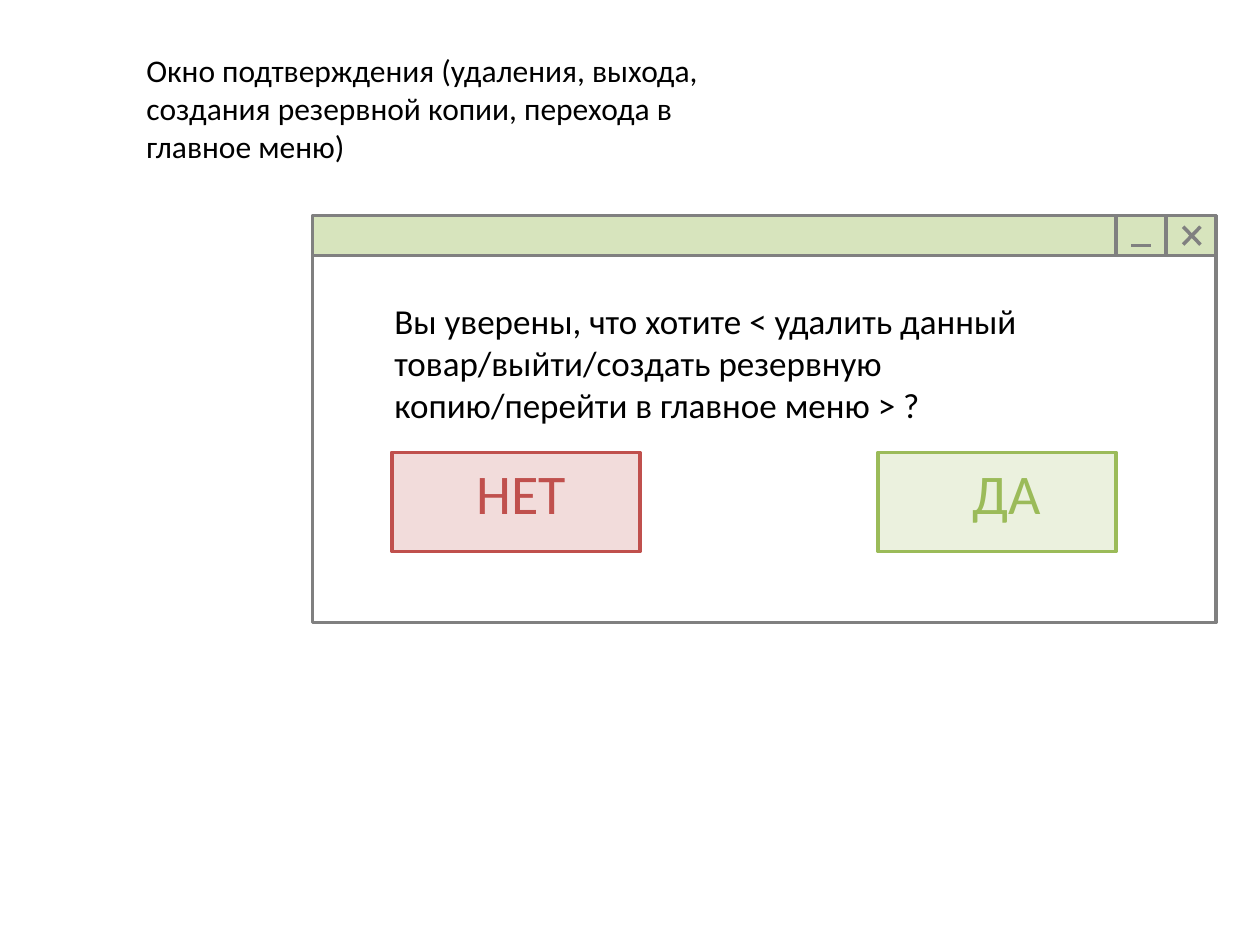
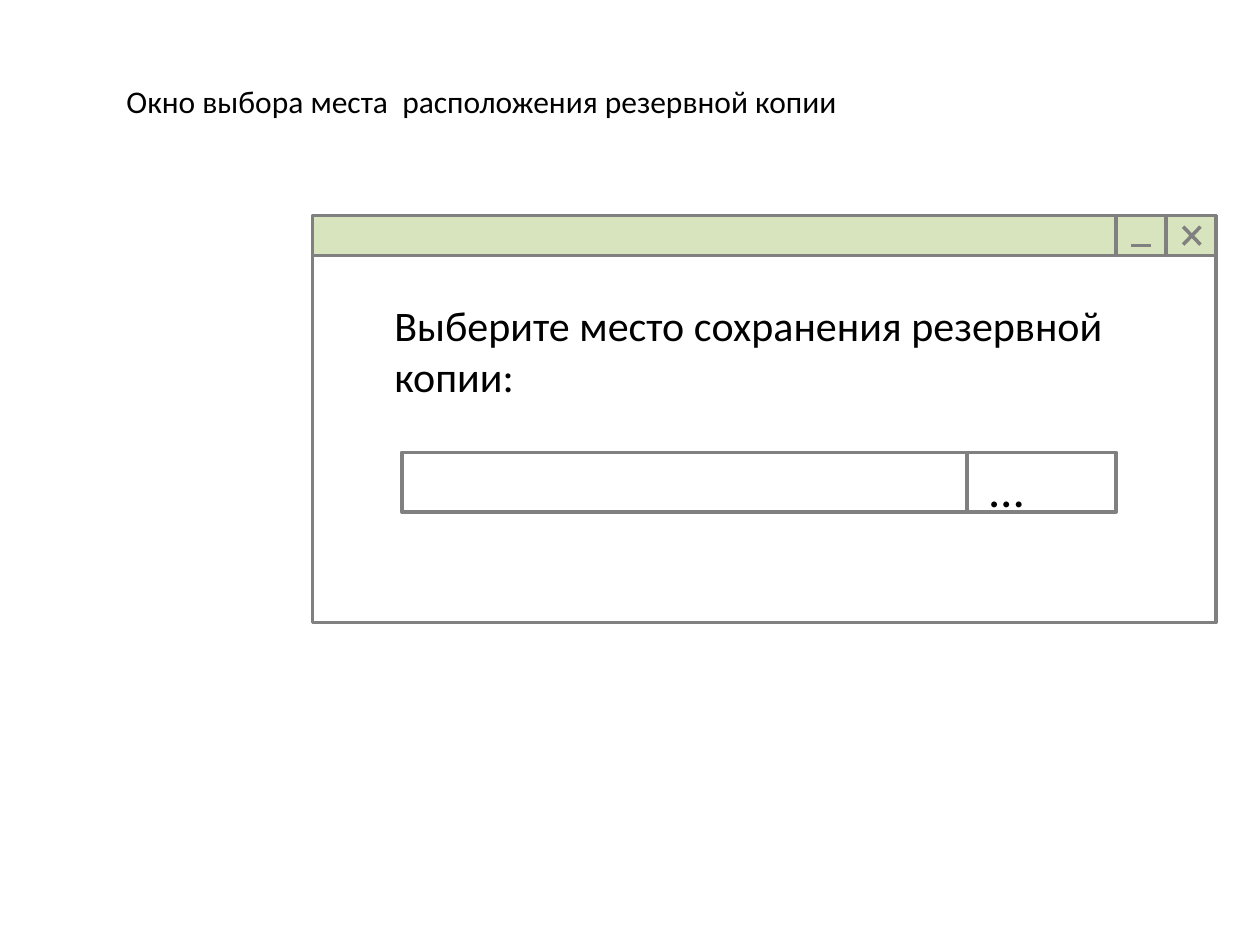
from dataclasses import dataclass

from lxml import etree
from pptx import Presentation
from pptx import util as u
from pptx.dml.color import RGBColor
from pptx.enum import shapes, text
from pptx.oxml.ns import qn


@dataclass(frozen=True)
class Theme:
    font: str = "Calibri"
    ink: str = "000000"
    frame: str = "808080"
    bar: str = "D7E4BD"
    no: tuple = ("F2DCDB", "C0504D")
    yes: tuple = ("EBF1DE", "9BBB59")
    caption: int = 18
    question: int = 20
    prompt: int = 24
    dots: int = 28
    button: int = 32
    stroke: float = 2
    divider: float = 2.25


def set_all(target, values):
    for name, value in values.items():
        setattr(target, name, value)


class Mockup:
    left, top, width, height = 6.3, 4.35, 18.21, 8.2
    bar_height = 0.8
    row_top = 9.12

    def __init__(self, deck, theme):
        self.deck = deck
        self.theme = theme
        self.page = None

    def new_page(self):
        self.page = self.deck.slides.add_slide(self.deck.slide_layouts[6])

    def stroke(self, line, color, width):
        line.fill.solid()
        set_all(line, {"width": u.Pt(width)})
        line.color.rgb = RGBColor.from_string(color)

    def rect(self, left, top, width, height, fill=None, line=None):
        box = self.page.shapes.add_shape(
            shapes.MSO_SHAPE.RECTANGLE, *map(u.Cm, (left, top, width, height)))
        box.shadow.inherit = False
        if fill:
            box.fill.solid()
            box.fill.fore_color.rgb = RGBColor.from_string(fill)
        else:
            box.fill.background()
        self.stroke(box.line, line or self.theme.frame, self.theme.stroke)

    def line(self, x1, y1, x2, y2, width=None):
        connector = self.page.shapes.add_connector(
            shapes.MSO_CONNECTOR.STRAIGHT, *map(u.Cm, (x1, y1, x2, y2)))
        self.stroke(connector.line, self.theme.frame, width or self.theme.stroke)
        etree.SubElement(connector._element.spPr, qn("a:effectLst"))

    def label(self, words, left, top, width, height, size, color=None,
              align=text.PP_ALIGN.LEFT):
        box = self.page.shapes.add_textbox(*map(u.Cm, (left, top, width, height)))
        set_all(box.text_frame, {
            "word_wrap": True,
            "auto_size": text.MSO_AUTO_SIZE.SHAPE_TO_FIT_TEXT,
        })
        para = box.text_frame.paragraphs[0]
        para.alignment = align
        span = para.add_run()
        span.text = words
        set_all(span.font, {"name": self.theme.font, "size": u.Pt(size)})
        span.font.color.rgb = RGBColor.from_string(color or self.theme.ink)

    def window(self):
        bar_bottom = self.top + self.bar_height
        self.rect(self.left, self.top, self.width, self.bar_height, self.theme.bar)
        self.rect(self.left, self.top, self.width, self.height)
        for x in (22.5, 23.5):
            self.line(x, self.top, x, bar_bottom)
        self.line(22.8, 4.95, 23.2, 4.95)
        for start, end in ((4.93, 4.57), (4.57, 4.93)):
            self.line(23.85, start, 24.2, end)

    def message(self, words, height, size):
        self.label(words, 7.7, 5.92, 15.1, height, size)

    def button(self, words, left, width, colors):
        fill, accent = colors
        self.rect(left, self.row_top, width, 2, fill, accent)
        self.label(words, left, self.row_top, 5.2, 1.63, self.theme.button,
                   accent, text.PP_ALIGN.CENTER)

    def path_field(self):
        left, width, height, split = 8.1, 14.4, 1.2, 19.5
        self.rect(left, self.row_top, width, height)
        self.line(split, self.row_top, split, self.row_top + height,
                  self.theme.divider)
        self.label("…", split + 0.2, self.row_top, 2.8, 1.45, self.theme.dots)


theme = Theme()
deck = Presentation()
set_all(deck, {"slide_width": u.Cm(25.4), "slide_height": u.Cm(19.05)})
mockup = Mockup(deck, theme)

mockup.new_page()
mockup.window()
mockup.label("Окно подтверждения (удаления, выхода, создания резервной копии, "
             "перехода в главное меню)", 2.7, 0.91, 12.2, 2.57, theme.caption)
mockup.message("Вы уверены, что хотите < удалить данный товар/выйти/создать "
               "резервную копию/перейти в главное меню > ?", 2.82, theme.question)
mockup.button("НЕТ", 7.9, 5, theme.no)
mockup.button("ДА", 17.7, 4.8, theme.yes)

mockup.new_page()
mockup.window()
mockup.message("Выберите место сохранения резервной копии:", 2.31, theme.prompt)
mockup.path_field()
mockup.label("Окно выбора места  расположения резервной копии",
             2.3, 1.52, 17.4, 1.02, theme.caption)

deck.save("out.pptx")
